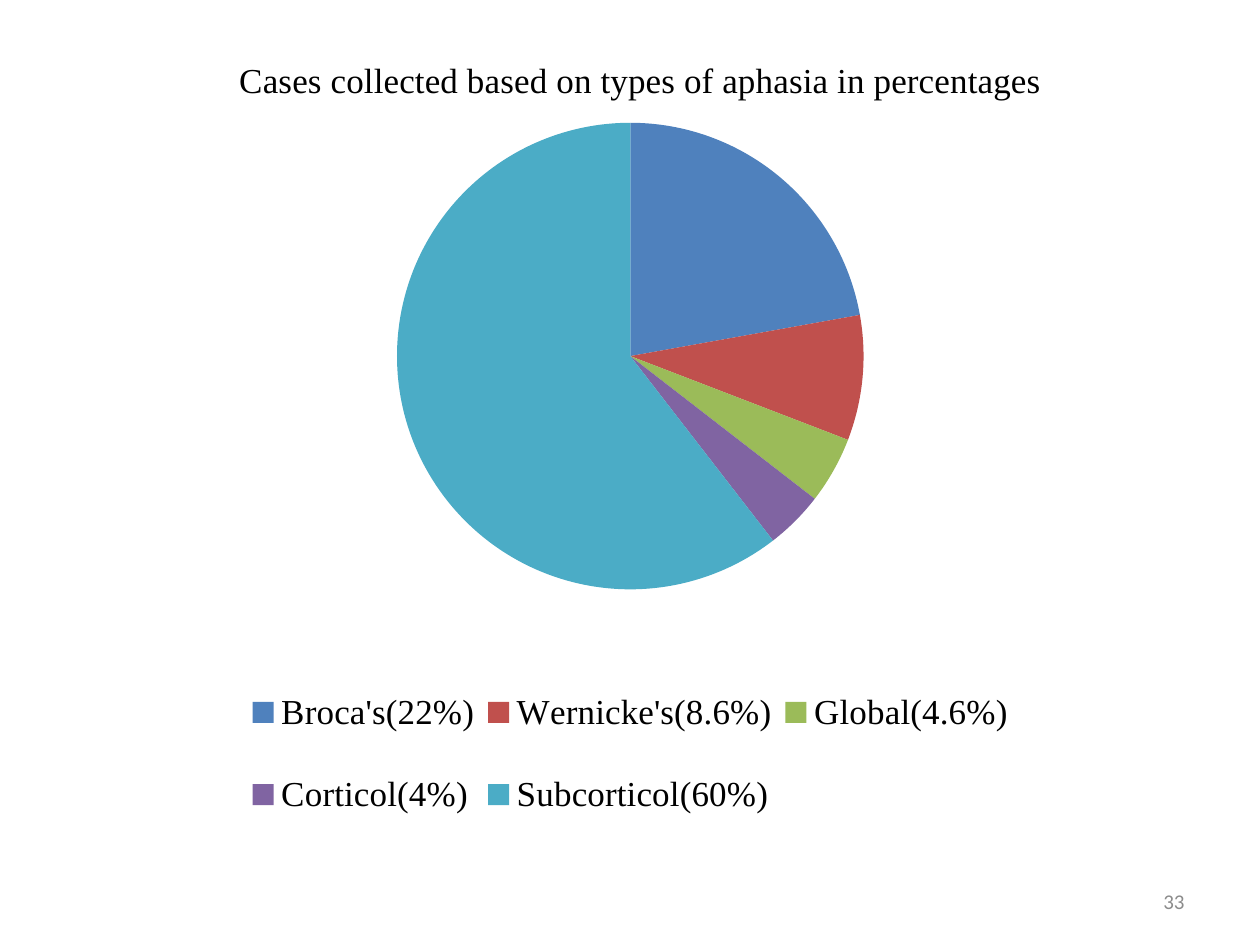
from lxml import etree
from pptx import Presentation
from pptx.chart import data
from pptx.dml.color import RGBColor
from pptx.enum import chart as charts, text
from pptx.oxml import ns
from pptx.util import Cm, Pt

BLACK = RGBColor(0x00, 0x00, 0x00)
GRAY = RGBColor(0x8C, 0x8C, 0x8C)
BLUE = RGBColor(0x4F, 0x81, 0xBD)
RED = RGBColor(0xC0, 0x50, 0x4D)
GREEN = RGBColor(0x9B, 0xBB, 0x59)
PURPLE = RGBColor(0x80, 0x64, 0xA2)
TEAL = RGBColor(0x4B, 0xAC, 0xC6)
SERIF = "Times New Roman"
TITLE = "Cases collected based on types of aphasia in percentages "
APHASIA_TYPES = [
    ("Broca's(22%)", 22, BLUE),
    ("Wernicke's(8.6%)", 8.6, RED),
    ("Global(4.6%)", 4.6, GREEN),
    ("Corticol(4%)", 4, PURPLE),
    ("Subcorticol(60%)", 60, TEAL),
]


def style_font(font, name, size, color):
    """Set the typeface, size and colour of a font."""
    font.name, font.size, font.bold = name, Pt(size), False
    font.color.rgb = color


def make_layout(fractions, inner=False):
    """Return a manual chart layout from x, y, width and height fractions."""
    layout = etree.Element(ns.qn("c:layout"))
    manual = etree.SubElement(layout, ns.qn("c:manualLayout"))
    settings = [("layoutTarget", "inner")] if inner else []
    settings += [("xMode", "edge"), ("yMode", "edge")]
    settings += zip("xywh", map(str, fractions))
    for tag, value in settings:
        etree.SubElement(manual, ns.qn(f"c:{tag}")).set("val", value)
    return layout


def place_layout(parent, layout, index):
    """Replace the layout of a chart part with the given one."""
    for old in parent.findall(ns.qn("c:layout")):
        parent.remove(old)
    parent.insert(index, layout)


def add_pie(page, box):
    """Add the titled pie of aphasia types with its legend below."""
    names, values, colors = zip(*APHASIA_TYPES)
    chart_data = data.CategoryChartData()
    chart_data.categories = names
    chart_data.add_series("Series 1", values)
    chart = page.shapes.add_chart(charts.XL_CHART_TYPE.PIE, *box, chart_data).chart
    style_font(chart.font, "Calibri", 10, BLACK)

    chart.has_title = True
    title = chart.chart_title.text_frame
    title.text = TITLE
    style_font(title.paragraphs[0].runs[0].font, SERIF, 20, BLACK)
    chart.chart_title.include_in_layout = False

    plot = chart.plots[0]
    plot.vary_by_categories = True
    for index, color in enumerate(colors):
        fill = plot.series[0].points[index].format.fill
        fill.solid()
        fill.fore_color.rgb = color

    chart.has_legend = True
    legend = chart.legend
    legend.position = charts.XL_LEGEND_POSITION.RIGHT
    legend.include_in_layout = False
    style_font(legend.font, SERIF, 20, BLACK)

    plot_area = plot._element.getparent()
    place_layout(plot_area, make_layout((0.07, 0.11, 0.84, 0.54), inner=True), 0)
    place_layout(legend._element, make_layout((0.11, 0.72, 0.76, 0.24)), 1)


def add_page_number(page, box, number):
    """Add the page number at the right edge of its box."""
    frame = page.shapes.add_textbox(*box).text_frame
    frame.word_wrap = True
    frame.vertical_anchor = text.MSO_ANCHOR.MIDDLE
    frame.text = number
    para = frame.paragraphs[0]
    para.alignment = text.PP_ALIGN.RIGHT
    style_font(para.runs[0].font, "Calibri", 12, GRAY)


def main():
    """Build the deck and save it."""
    deck = Presentation()
    deck.slide_width, deck.slide_height = Cm(25.4), Cm(19.05)
    page = deck.slides.add_slide(deck.slide_layouts[6])
    add_pie(page, (Cm(2.54), Cm(0.56), Cm(20.75), Cm(17.42)))
    add_page_number(page, (Cm(18.2), Cm(17.66), Cm(5.93), Cm(1.01)), "33")
    deck.save("out.pptx")


if __name__ == "__main__":
    main()
